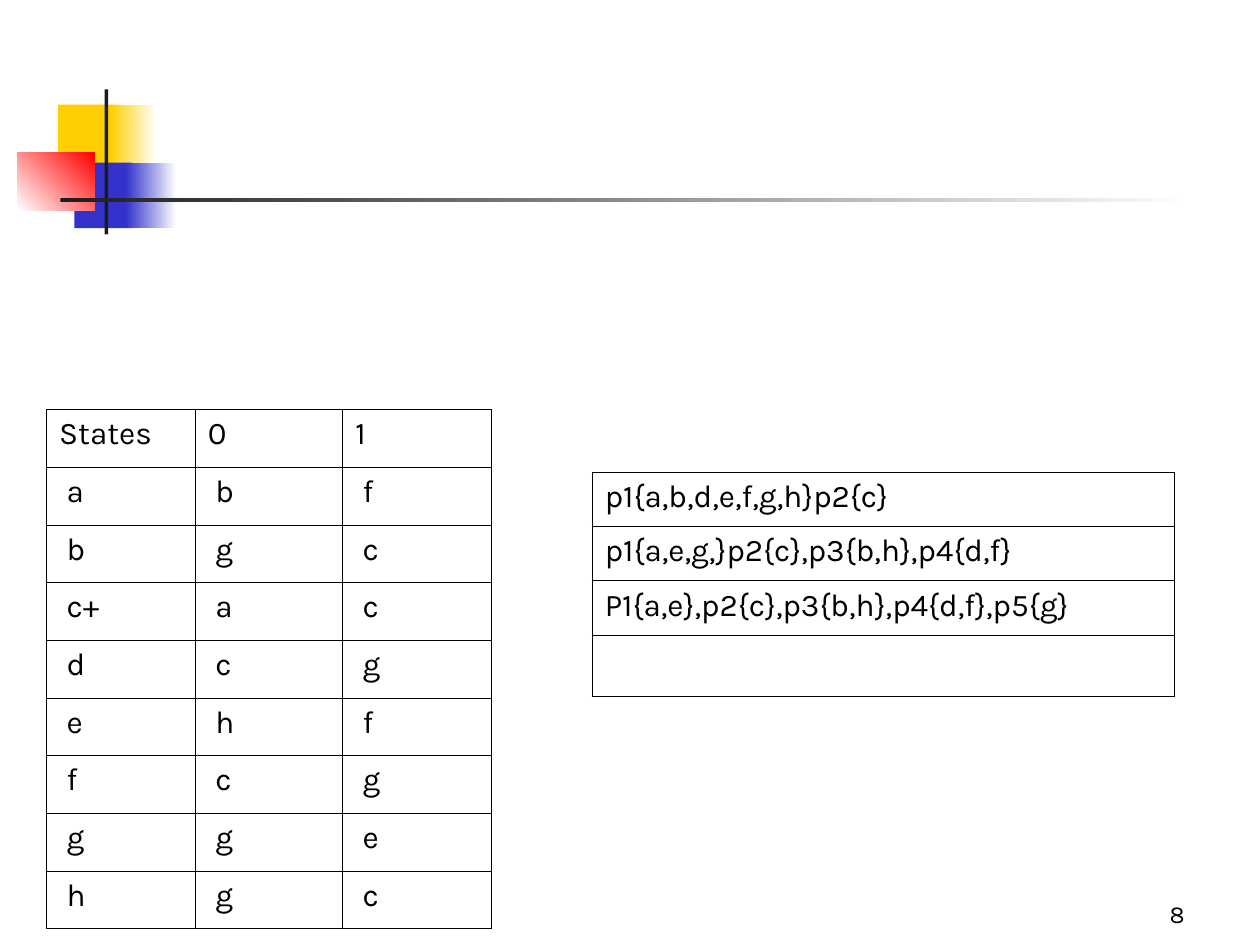
import dataclasses

import lxml.etree
import pptx
import pptx.dml.color
import pptx.enum.shapes
import pptx.enum.text
import pptx.oxml.ns
import pptx.util

Inches = pptx.util.Inches
Pt = pptx.util.Pt
ALIGN = pptx.enum.text.PP_ALIGN


@dataclasses.dataclass(frozen=True)
class Theme:
    """Colours, font and type sizes of the slide."""
    font: str = "Karla"
    body: float = 18
    number: float = 14
    border: float = 0.45
    black: str = "000000"
    white: str = "FFFFFF"
    yellow: str = "FFCF01"
    blue: str = "3333CC"
    red: str = "FF0000"
    dark: str = "1C1C1C"


THEME = Theme()


def rgb(color):
    """Return a colour object for a hex string."""
    return pptx.dml.color.RGBColor.from_string(color)


def write(tf, text, size=THEME.body, color=THEME.black, align=ALIGN.LEFT):
    """Put formatted text in the first paragraph of a text frame."""
    p = tf.paragraphs[0]
    p.alignment = align
    r = p.add_run()
    r.text = text
    r.font.name = THEME.font
    r.font.size = Pt(size)
    r.font.bold = False
    r.font.color.rgb = rgb(color)


def add_block(s, x, y, w, h, start, end=None, angle=0):
    """Add a rectangle with a solid fill, or a gradient from start to end."""
    sp = s.shapes.add_shape(pptx.enum.shapes.MSO_SHAPE.RECTANGLE,
                            Inches(x), Inches(y), Inches(w), Inches(h))
    sp.shadow.inherit = False
    sp.line.fill.background()
    if end is None:
        sp.fill.solid()
        sp.fill.fore_color.rgb = rgb(start)
        return
    sp.fill.gradient()
    sp.fill.gradient_angle = angle
    for stop, color, position in zip(sp.fill.gradient_stops, (start, end), (0, 1)):
        stop.color.rgb = rgb(color)
        stop.position = position


def add_borders(cell):
    """Draw a thin line on all four sides of a cell."""
    qn = pptx.oxml.ns.qn
    tc_pr = cell._tc.get_or_add_tcPr()
    for i, side in enumerate(("a:lnL", "a:lnR", "a:lnT", "a:lnB")):
        ln = lxml.etree.Element(qn(side), w=str(Pt(THEME.border)))
        fill = lxml.etree.SubElement(ln, qn("a:solidFill"))
        lxml.etree.SubElement(fill, qn("a:srgbClr"), val=THEME.black)
        tc_pr.insert(i, ln)


def add_grid(s, x, y, widths, heights, rows):
    """Add a plain bordered table holding the given rows of text."""
    frame = s.shapes.add_table(len(rows), len(widths), Inches(x), Inches(y),
                               Inches(sum(widths)), Inches(sum(heights)))
    table = frame.table
    table.first_row = False
    table.horz_banding = False
    for column, width in zip(table.columns, widths):
        column.width = Inches(width)
    for row, height, texts in zip(table.rows, heights, rows):
        row.height = Inches(height)
        for cell, text in zip(row.cells, texts):
            cell.fill.background()
            add_borders(cell)
            if text:
                write(cell.text_frame, text)


def add_ornament(s):
    """Add the coloured squares and the crossing bars."""
    t = THEME
    add_block(s, 0.46, 0.83, 0.48, 0.52, t.yellow)
    add_block(s, 0.88, 0.83, 0.36, 0.52, t.yellow, t.white)
    add_block(s, 0.59, 1.29, 0.46, 0.52, t.blue)
    add_block(s, 1, 1.29, 0.4, 0.52, t.blue, t.white)
    add_block(s, 0.14, 1.21, 0.61, 0.46, t.white, t.red, angle=45)
    add_block(s, 0.83, 0.71, 0.03, 1.15, t.dark)
    add_block(s, 0.48, 1.57, 9, 0.03, t.dark, t.white)


def add_number(s, text):
    """Add the slide number at the lower right."""
    sp = s.shapes.add_textbox(Inches(7.42), Inches(6.92), Inches(2.08), Inches(0.5))
    tf = sp.text_frame
    tf.word_wrap = True
    tf.vertical_anchor = pptx.enum.text.MSO_ANCHOR.BOTTOM
    write(tf, text, size=THEME.number, align=ALIGN.RIGHT)


def main():
    """Build the slide and save it."""
    prs = pptx.Presentation()
    prs.slide_width, prs.slide_height = Inches(10), Inches(7.5)
    s = prs.slides.add_slide(prs.slide_layouts[6])
    add_ornament(s)
    add_number(s, "8")
    transitions = ["a b f", "b g c", "c+ a c", "d c g",
                   "e h f", "f c g", "g g e", "h g c"]
    states = [["States", "0", "1"]]
    states += [[" " + state for state in line.split()] for line in transitions]
    add_grid(s, 0.37, 3.25, [1.18, 1.17, 1.18], [0.458] * len(states), states)
    partitions = [["p1{a,b,d,e,f,g,h}p2{c}"],
                  ["p1{a,e,g,}p2{c},p3{b,h},p4{d,f}"],
                  ["P1{a,e},p2{c},p3{b,h},p4{d,f},p5{g}"],
                  [""]]
    add_grid(s, 4.7, 3.75, [4.62], [0.43, 0.43, 0.43, 0.49], partitions)
    prs.save("out.pptx")


if __name__ == "__main__":
    main()
